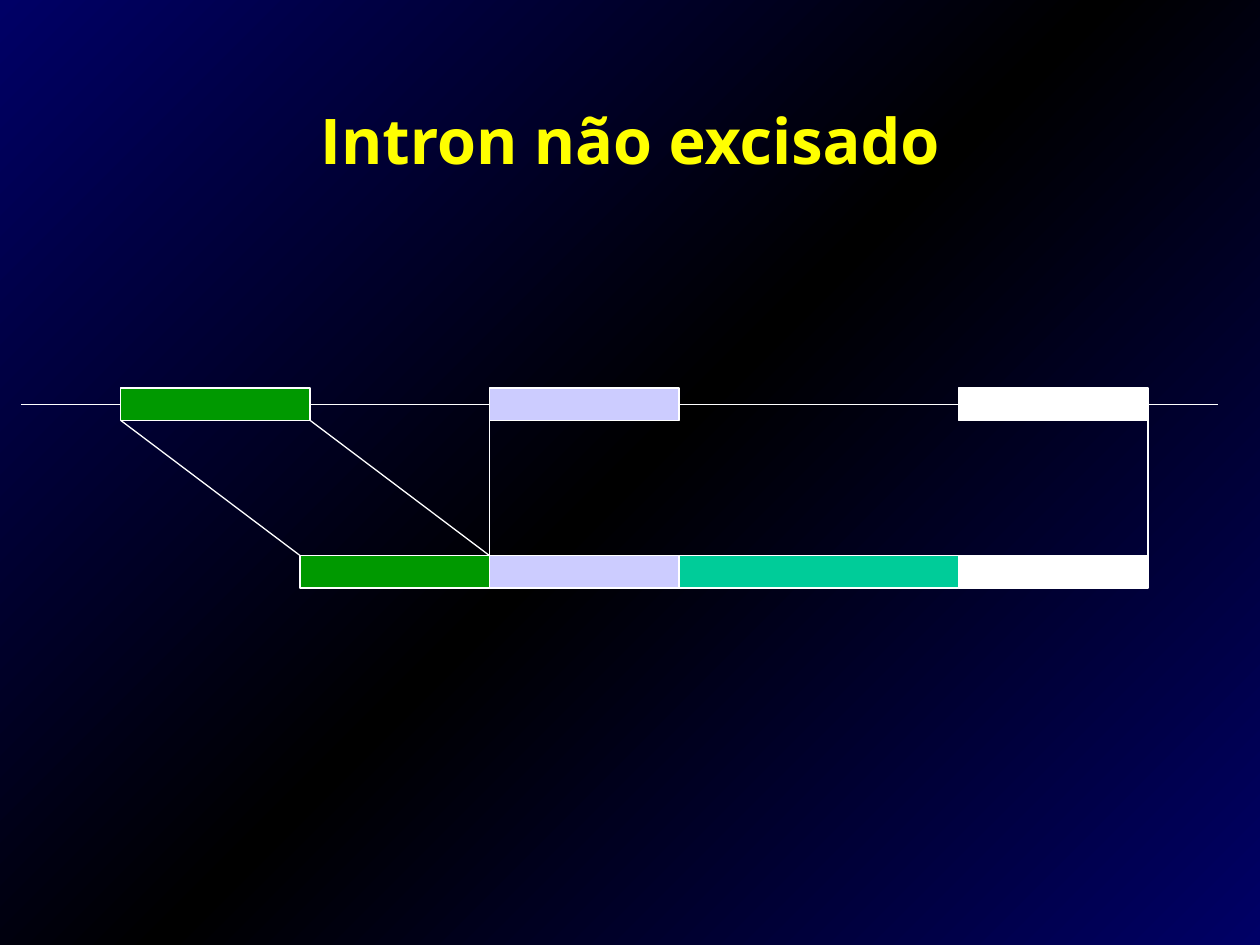
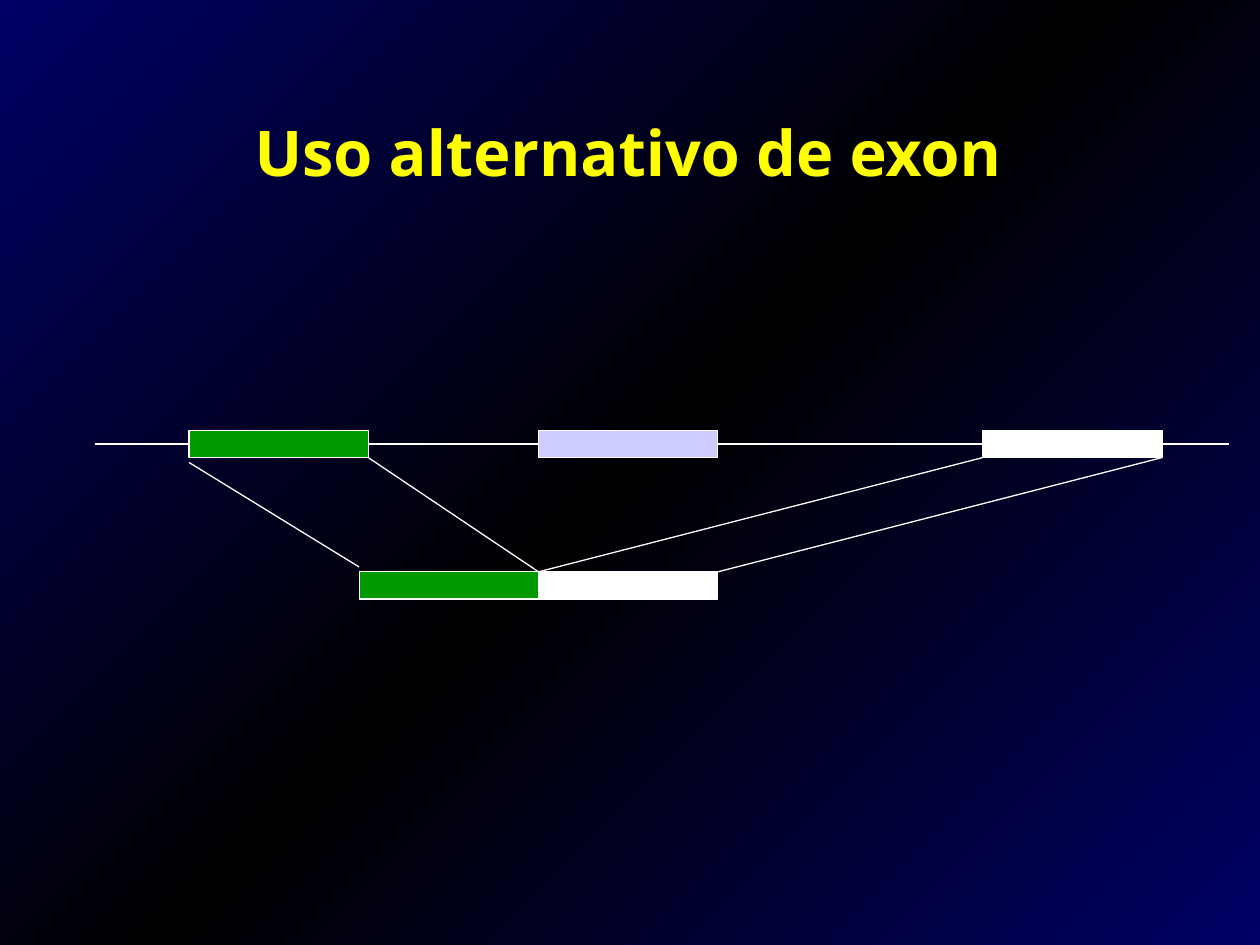
import copy
import dataclasses
import itertools

import pptx
import pptx.dml.color
import pptx.enum.shapes
import pptx.enum.text
import pptx.oxml.ns
import pptx.util

Pt = pptx.util.Pt
RGB = pptx.dml.color.RGBColor.from_string
ALIGN = pptx.enum.text.PP_ALIGN
LEFT_SITE, RIGHT_SITE = 1, 3


@dataclasses.dataclass(frozen=True)
class Theme:
    edge: str = "000066"
    middle: str = "000000"
    title: str = "FFFF00"
    line: str = "FFFFFF"
    exon_1: str = "009900"
    exon_2: str = "CCCCFF"
    exon_3: str = "FFFFFF"
    intron: str = "00CC99"
    font: str = "Open Sans"
    title_size: float = 36
    line_width: float = 0.75


@dataclasses.dataclass(frozen=True)
class Box:
    x: float
    y: float
    w: float
    h: float


@dataclasses.dataclass(frozen=True)
class Splicing:
    """Gene and transcript; lefts are offsets from the diagram's left edge.

    A link is (gene part, transcript part, side, gap), with side 0 for the
    left corner and 1 for the right corner.
    """
    exon_w: float
    bar_h: float
    gene_lefts: tuple
    transcript_left: float
    transcript: tuple  # (width, colour) of each part
    links: tuple


T = Theme()


def paint_background(master):
    fill = master.background.fill
    fill.gradient()
    fill.gradient_angle = 135
    stops = next(master.element.iter(pptx.oxml.ns.qn("a:gsLst")))
    stops.append(copy.deepcopy(stops[-1]))
    colours = (T.edge, T.middle, T.edge)
    for stop, position, colour in zip(fill.gradient_stops, (0, 0.5, 1), colours):
        stop.position = position
        stop.color.rgb = RGB(colour)


def add_title(s, text, box, align):
    sp = s.shapes.title
    sp.left, sp.top, sp.width, sp.height = map(Pt, (box.x, box.y, box.w, box.h))
    tf = sp.text_frame
    tf.word_wrap = True
    tf.auto_size = pptx.enum.text.MSO_AUTO_SIZE.NONE
    tf.vertical_anchor = pptx.enum.text.MSO_ANCHOR.MIDDLE
    p = tf.paragraphs[0]
    p.alignment = align
    r = p.add_run()
    r.text = text
    r.font.name, r.font.size, r.font.bold = T.font, Pt(T.title_size), True
    r.font.color.rgb = RGB(T.title)


def style_line(line):
    line.color.rgb = RGB(T.line)
    line.width = Pt(T.line_width)


def add_bar(shapes, box, colour):
    sp = shapes.add_shape(pptx.enum.shapes.MSO_SHAPE.RECTANGLE,
                          Pt(box.x), Pt(box.y), Pt(box.w), Pt(box.h))
    sp.shadow.inherit = False
    sp.fill.solid()
    sp.fill.fore_color.rgb = RGB(colour)
    style_line(sp.line)
    return sp


def add_line(shapes, x1, y1, x2, y2):
    c = shapes.add_connector(pptx.enum.shapes.MSO_CONNECTOR.STRAIGHT,
                             Pt(x1), Pt(y1), Pt(x2), Pt(y2))
    c._element.spPr.append(pptx.oxml.parse_xml(
        "<a:effectLst %s/>" % pptx.oxml.ns.nsdecls("a")))
    style_line(c.line)
    return c


def add_gene(shapes, box, splicing):
    """Draw the exons joined by the gene's line, and return their boxes."""
    boxes = [Box(box.x + left, box.y, splicing.exon_w, splicing.bar_h)
             for left in splicing.gene_lefts]
    bars = [add_bar(shapes, b, colour)
            for b, colour in zip(boxes, (T.exon_1, T.exon_2, T.exon_3))]
    y = box.y + splicing.bar_h / 2
    starts = [box.x] + [b.x + b.w for b in boxes]
    ends = [b.x for b in boxes] + [box.x + box.w]
    for x1, x2, before, after in zip(starts, ends, [None] + bars, bars + [None]):
        c = add_line(shapes, x1, y, x2, y)
        if before is not None:
            c.begin_connect(before, RIGHT_SITE)
        if after is not None:
            c.end_connect(after, LEFT_SITE)
    return boxes


def add_transcript(shapes, box, splicing):
    """Draw the parts side by side at the bottom, and return their boxes."""
    widths, colours = zip(*splicing.transcript)
    offsets = itertools.accumulate(widths[:-1], initial=splicing.transcript_left)
    y = box.y + box.h - splicing.bar_h
    boxes = [Box(box.x + left, y, w, splicing.bar_h)
             for left, w in zip(offsets, widths)]
    for b, colour in zip(boxes, colours):
        add_bar(shapes, b, colour)
    return boxes


def add_splicing(s, box, splicing):
    shapes = s.shapes.add_group_shape().shapes
    gene = add_gene(shapes, box, splicing)
    transcript = add_transcript(shapes, box, splicing)
    for i, j, side, gap in splicing.links:
        top, bottom = gene[i], transcript[j]
        add_line(shapes, top.x + side * top.w, top.y + top.h + gap,
                 bottom.x + side * bottom.w, bottom.y - gap)


def add_splicing_slide(prs, title, title_box, align, box, splicing):
    s = prs.slides.add_slide(prs.slide_layouts.get_by_name("Title Only"))
    add_title(s, title, title_box, align)
    add_splicing(s, box, splicing)


def main():
    prs = pptx.Presentation()
    prs.slide_width, prs.slide_height = Pt(720), Pt(540)
    paint_background(prs.slide_master)

    retained_intron = Splicing(
        exon_w=108.25, bar_h=18.5, gene_lefts=(57, 267.75, 535.75),
        transcript_left=159.5,
        transcript=((108.25, T.exon_1), (108.25, T.exon_2),
                    (159.75, T.intron), (108.25, T.exon_3)),
        links=((0, 0, 0, 0), (0, 0, 1, 0), (1, 1, 0, 0), (2, 3, 1, 0)))
    add_splicing_slide(prs, "Intron não excisado", Box(0, 54.5, 720, 50.5),
                       ALIGN.CENTER, Box(12, 221.75, 684, 114.25), retained_intron)

    skipped_exon = Splicing(
        exon_w=102.5, bar_h=15.5, gene_lefts=(54, 253.75, 507.5),
        transcript_left=151.25,
        transcript=((102.5, T.exon_1), (102.5, T.exon_3)),
        links=((0, 0, 0, 2.75), (0, 0, 1, 0), (2, 1, 0, 0), (2, 1, 1, 0)))
    add_splicing_slide(prs, "Uso alternativo de exon", Box(138.25, 61, 450, 50.5),
                       ALIGN.LEFT, Box(54, 246, 648, 96.25), skipped_exon)

    prs.save("out.pptx")


if __name__ == "__main__":
    main()
